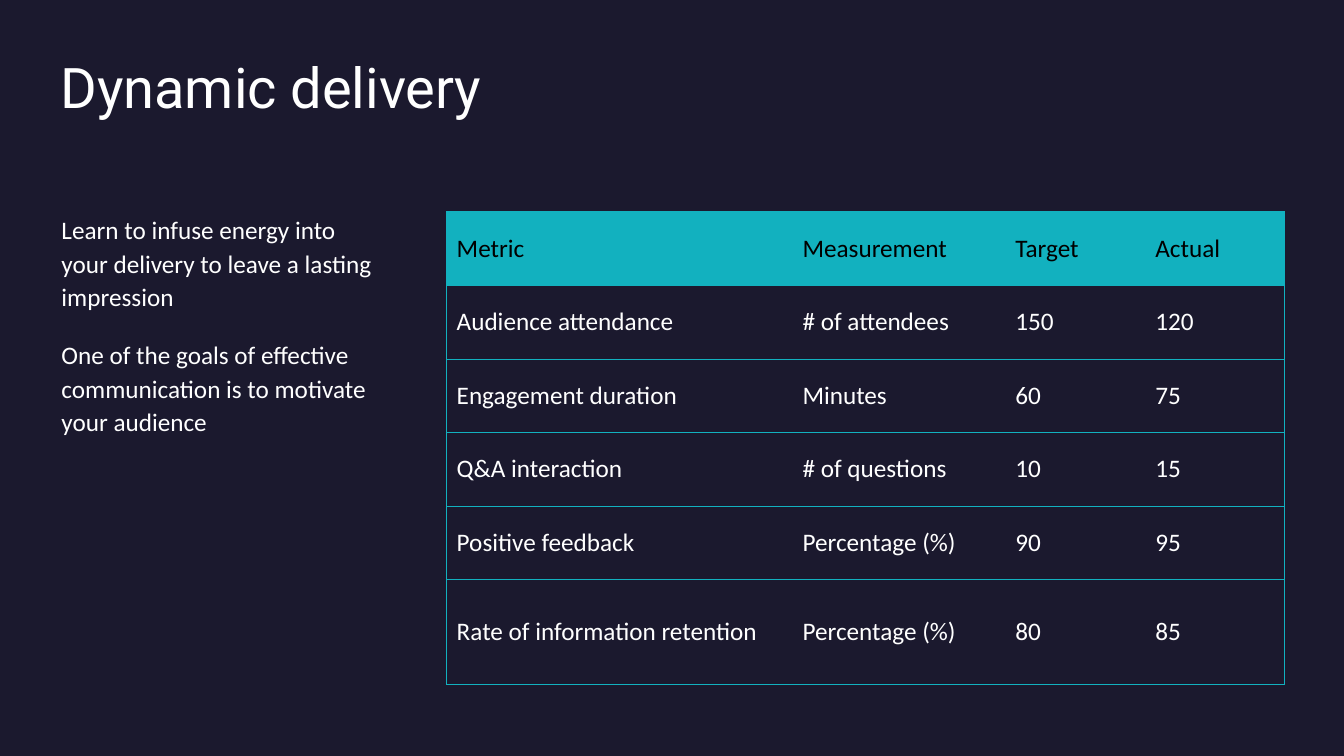
from pptx import Presentation
from pptx.dml.color import RGBColor
from pptx.enum.text import MSO_ANCHOR
from pptx.oxml.ns import qn
from pptx.util import Inches, Pt
from lxml.etree import SubElement

COLORS = {"navy": "1B192E", "teal": "12B1BF", "white": "FFFFFF", "black": "000000"}

BODY = [
    "Learn to infuse energy into your delivery to leave a lasting impression",
    "One of the goals of effective communication is to motivate your audience",
]

METRICS = [
    ["Metric", "Measurement", "Target", "Actual"],
    ["Audience attendance", "# of attendees", "150", "120"],
    ["Engagement duration", "Minutes", "60", "75"],
    ["Q&A interaction", "# of questions", "10", "15"],
    ["Positive feedback", "Percentage (%)", "90", "95"],
    ["Rate of information retention", "Percentage (%)", "80", "85"],
]
COLUMN_WIDTHS = [3.43, 2.11, 1.39, 1.38]
ROW_HEIGHTS = [0.73] * 5 + [1.04]


class SlideBuilder:
    heading_font = "Roboto"
    body_font = "Calibri"
    body_size = 18
    border_width = 0.5

    def __init__(self, page):
        self.page = page

    def color(self, name):
        return RGBColor.from_string(COLORS[name])

    def background(self, name):
        fill = self.page.background.fill
        fill.solid()
        fill.fore_color.rgb = self.color(name)

    def style(self, paragraph, font_name, size, color):
        paragraph.font.name = font_name
        paragraph.font.size = Pt(size)
        paragraph.font.color.rgb = self.color(color)

    def text(self, left, top, width, height, lines, font_name, size,
             line_spacing, before=0, after=0, right_inset=0, bottom_inset=0):
        box = self.page.shapes.add_textbox(
            Inches(left), Inches(top), Inches(width), Inches(height))
        frame = box.text_frame
        frame.word_wrap = True
        frame.margin_left = frame.margin_top = 0
        frame.margin_right = Inches(right_inset)
        frame.margin_bottom = Inches(bottom_inset)
        frame.text = "\n".join(lines)
        for paragraph in frame.paragraphs:
            paragraph.line_spacing = line_spacing
            paragraph.space_before = Pt(before)
            paragraph.space_after = Pt(after)
            self.style(paragraph, font_name, size, "white")

    def borders(self, cell, visible):
        properties = cell._tc.get_or_add_tcPr()
        for side in "LRTB":
            line = SubElement(properties, qn(f"a:ln{side}"), w=str(Pt(self.border_width)))
            if side in visible:
                fill = SubElement(line, qn("a:solidFill"))
                SubElement(fill, qn("a:srgbClr"), val=COLORS["teal"])
            else:
                SubElement(line, qn("a:noFill"))

    def table(self, left, top, rows, widths, heights):
        table = self.page.shapes.add_table(
            len(rows), len(widths), Inches(left), Inches(top),
            Inches(sum(widths)), Inches(sum(heights))).table
        table.horz_banding = False
        for column, width in zip(table.columns, widths):
            column.width = Inches(width)
        for row, height in zip(table.rows, heights):
            row.height = Inches(height)
        for row_index, values in enumerate(rows):
            for column_index, value in enumerate(values):
                cell = table.cell(row_index, column_index)
                cell.text = value
                cell.vertical_anchor = MSO_ANCHOR.MIDDLE
                outer = {0: "L", len(widths) - 1: "R"}.get(column_index, "")
                self.borders(cell, "TB" + outer)
                header = row_index == 0
                if header:
                    cell.fill.solid()
                    cell.fill.fore_color.rgb = self.color("teal")
                else:
                    cell.fill.background()
                paragraph = cell.text_frame.paragraphs[0]
                self.style(paragraph, self.body_font, self.body_size,
                           "black" if header else "white")
                paragraph.font.bold = False


def main():
    deck = Presentation()
    deck.slide_width = Inches(13.33)
    deck.slide_height = Inches(7.5)
    builder = SlideBuilder(deck.slides.add_slide(deck.slide_layouts[6]))
    builder.background("navy")
    builder.text(0.6, 0.6, 12.13, 1.35, ["Dynamic delivery"],
                 builder.heading_font, 40, 0.9)
    builder.text(0.61, 2.1, 3.19, 4.7, BODY, builder.body_font, builder.body_size,
                 1.1, before=10, after=8, right_inset=0.1, bottom_inset=0.05)
    builder.table(4.43, 2.1, METRICS, COLUMN_WIDTHS, ROW_HEIGHTS)
    deck.save("out.pptx")


if __name__ == "__main__":
    main()
